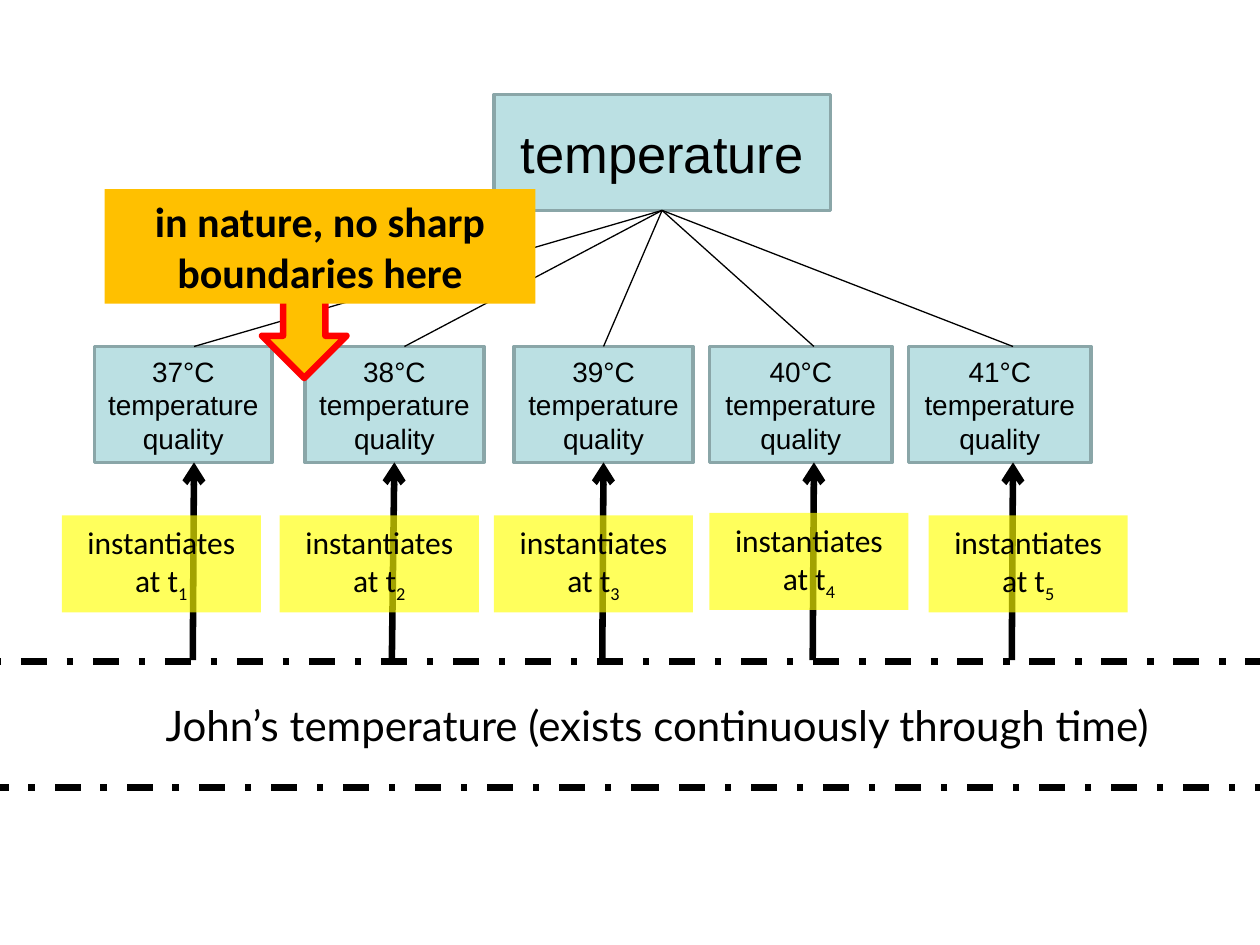
"""Build a slide on how a temperature quality is instantiated over time."""
import pptx
import pptx.dml.color
import pptx.enum.dml
import pptx.enum.shapes
import pptx.enum.text
import pptx.oxml
import pptx.oxml.ns
import pptx.util
from pptx.util import Inches

RGBColor = pptx.dml.color.RGBColor
MSO_SHAPE = pptx.enum.shapes.MSO_SHAPE
BLACK = RGBColor(0x00, 0x00, 0x00)
PALE_BLUE = RGBColor(0xBB, 0xE0, 0xE3)
GREY_BLUE = RGBColor(0x8A, 0xA6, 0xA8)
YELLOW = RGBColor(0xFF, 0xFF, 0x00)
ORANGE = RGBColor(0xFF, 0xC0, 0x00)
RED = RGBColor(0xFF, 0x00, 0x00)

TOP, BOTTOM = 0, 2
ROOT_X, ROOT_BOTTOM = 5.25, 1.67
BOX_TOP, BOX_HEIGHT = 2.75, 0.92
BOX_BOTTOM = BOX_TOP + BOX_HEIGHT
BAND_TOP = 5.24

QUALITIES = [
    ("37°C", 0.75, 1.41, 1.54),
    ("38°C", 2.42, 1.42, 3.21),
    ("39°C", 4.08, 1.42, 4.79),
    ("40°C", 5.63, 1.45, 6.46),
    ("41°C", 7.21, 1.45, 8.04),
]
INSTANTS = [
    (1.54, 0.49, 4.09),
    (3.12, 2.22, 4.09),
    (4.79, 3.92, 4.09),
    (6.46, 5.63, 4.07),
    (8.04, 7.37, 4.09),
]


class Diagram:
    """Hold the style and the current slide."""

    def __init__(self, slide):
        self.slide = slide

    def shape(self, left, top, width, height, fill=None, line=None, weight=2,
              kind=MSO_SHAPE.RECTANGLE, parent=None):
        """Add a preset shape without shadow."""
        shape = (parent or self.slide).shapes.add_shape(
            kind, Inches(left), Inches(top), Inches(width), Inches(height))
        shape.shadow.inherit = False
        if fill is None:
            shape.fill.background()
        else:
            shape.fill.solid()
            shape.fill.fore_color.rgb = fill
        if line is None:
            shape.line.fill.background()
        else:
            shape.line.color.rgb = line
            shape.line.width = pptx.util.Pt(weight)
        return shape

    def caption(self, shape, text, size, font, bold=False, subscript=None):
        """Put one centred paragraph in a shape."""
        frame = shape.text_frame
        frame.word_wrap = True
        frame.vertical_anchor = pptx.enum.text.MSO_ANCHOR.MIDDLE
        paragraph = frame.paragraphs[0]
        paragraph.alignment = pptx.enum.text.PP_ALIGN.CENTER
        paragraph.font.size = pptx.util.Pt(size)
        paragraph.font.name = font
        paragraph.font.bold = bold
        paragraph.font.color.rgb = BLACK
        paragraph.add_run().text = text
        if subscript:
            run = paragraph.add_run()
            run.text = subscript
            run.font._element.set("baseline", "-25000")

    def box(self, text, left, top, width, height, size):
        """Add a pale blue class box."""
        shape = self.shape(left, top, width, height, PALE_BLUE, GREY_BLUE)
        self.caption(shape, text, size, "Arial")
        return shape

    def label(self, left, top, number):
        """Add a translucent instantiation label."""
        shape = self.shape(left, top, 1.58, 0.77, YELLOW)
        color = shape._element.spPr.find(".//" + pptx.oxml.ns.qn("a:srgbClr"))
        color.append(pptx.oxml.parse_xml(
            f'<a:alpha {pptx.oxml.ns.nsdecls("a")} val="64000"/>'))
        self.caption(shape, "instantiates at t", 18, "Calibri",
                     subscript=str(number))

    def line(self, start, end, weight, arrow=False):
        """Add a straight black connector."""
        connector = self.slide.shapes.add_connector(
            pptx.enum.shapes.MSO_CONNECTOR.STRAIGHT,
            *(Inches(value) for value in (*start, *end)))
        connector.line.color.rgb = BLACK
        connector.line.width = pptx.util.Pt(weight)
        namespace = pptx.oxml.ns.nsdecls("a")
        properties = connector._element.spPr
        if arrow:
            properties.find(pptx.oxml.ns.qn("a:ln")).append(
                pptx.oxml.parse_xml(f'<a:tailEnd {namespace} type="arrow"/>'))
        properties.append(pptx.oxml.parse_xml(f"<a:effectLst {namespace}/>"))
        return connector

    def join_end(self, connector, shape, site):
        """Join a connector that ends at the middle of a side."""
        middle = shape.left + shape.width / 2
        if abs(connector.end_x - middle) < Inches(0.02):
            connector.end_connect(shape, site)

    def callout(self):
        """Add the grouped note and its arrow."""
        group = self.slide.shapes.add_group_shape()
        self.shape(2.08, 2.25, 0.67, 0.75, ORANGE, RED, 3.75,
                   MSO_SHAPE.DOWN_ARROW, group)
        note = self.shape(0.83, 1.5, 3.42, 0.91, ORANGE, parent=group)
        self.caption(note, "in nature, no sharp boundaries here", 24,
                     "Calibri", bold=True)


def main():
    """Lay out the slide and save it."""
    presentation = pptx.Presentation()
    presentation.slide_width = Inches(10)
    presentation.slide_height = Inches(7.5)
    slide = presentation.slides.add_slide(presentation.slide_layouts[6])
    diagram = Diagram(slide)

    root = diagram.box("temperature", 3.92, 0.75, 2.67, BOX_HEIGHT, 30)
    band = diagram.shape(-0.24, 5.25, 10.91, 1, line=BLACK, weight=3.75)
    band.line.dash_style = pptx.enum.dml.MSO_LINE.DASH_DOT
    diagram.caption(
        band, "John’s temperature (exists continuously through time)",
        24, "Lato")

    boxes = []
    for degrees, left, width, link_x in QUALITIES:
        box = diagram.box(f"{degrees} temperature quality", left, BOX_TOP,
                          width, BOX_HEIGHT, 16)
        link = diagram.line((ROOT_X, ROOT_BOTTOM), (link_x, BOX_TOP), 0.75)
        link.begin_connect(root, BOTTOM)
        diagram.join_end(link, box, TOP)
        boxes.append(box)

    for number, (arrow_x, left, top) in enumerate(INSTANTS, 1):
        arrow = diagram.line((arrow_x - 0.01, BAND_TOP),
                             (arrow_x, BOX_BOTTOM), 3.75, arrow=True)
        diagram.join_end(arrow, boxes[number - 1], BOTTOM)
        diagram.label(left, top, number)

    diagram.callout()
    presentation.save("out.pptx")


if __name__ == "__main__":
    main()
